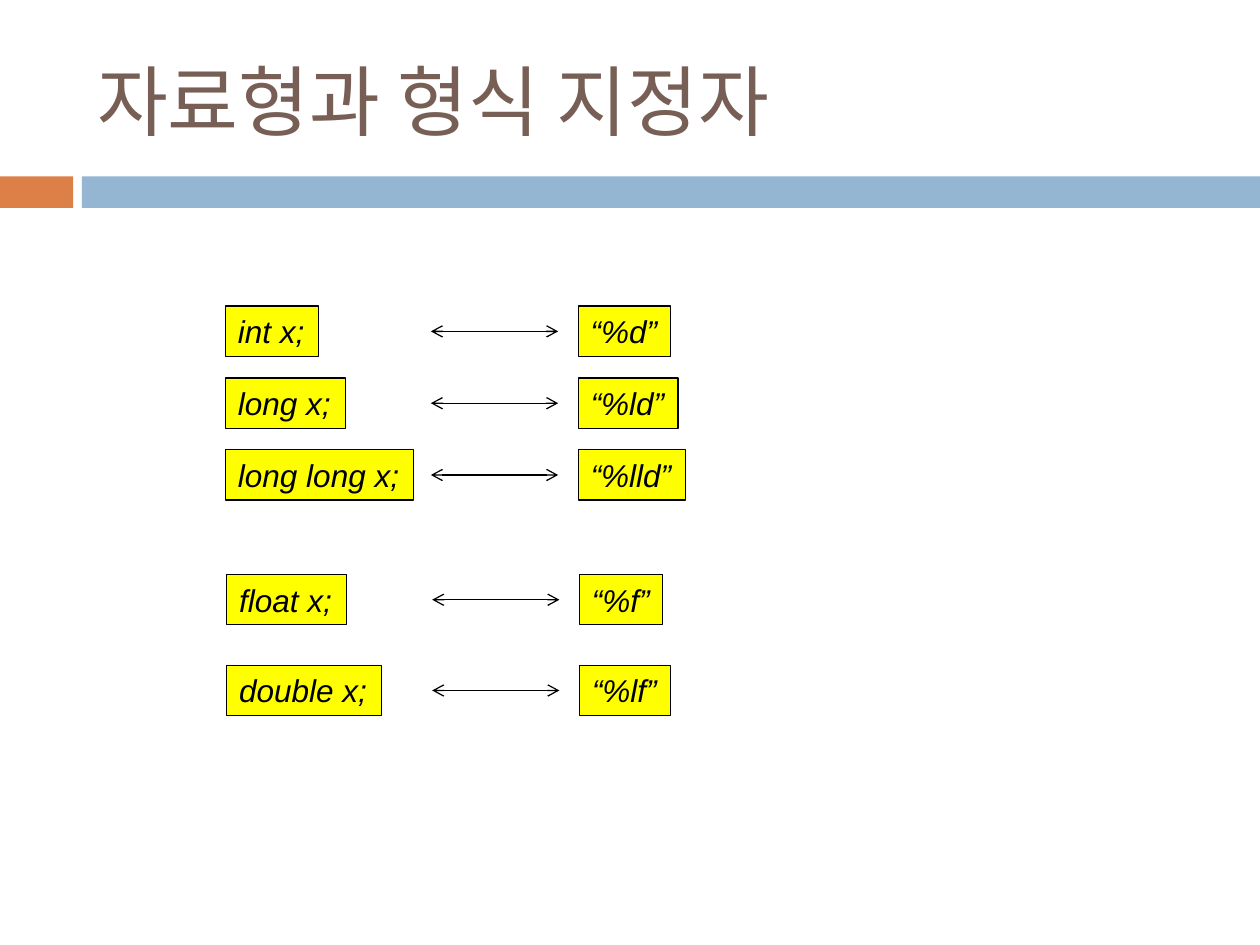
"""Build a slide that pairs C data types with their format specifiers."""
from lxml import etree
from pptx import Presentation
from pptx.dml.color import RGBColor
from pptx.enum.shapes import MSO_CONNECTOR, MSO_SHAPE
from pptx.enum.text import MSO_ANCHOR, MSO_AUTO_SIZE, PP_ALIGN
from pptx.oxml.ns import qn
from pptx.util import Inches, Pt

RECT, STRAIGHT = MSO_SHAPE.RECTANGLE, MSO_CONNECTOR.STRAIGHT
LEFT, MIDDLE = PP_ALIGN.LEFT, MSO_ANCHOR.MIDDLE
FIT, NO_FIT = MSO_AUTO_SIZE.SHAPE_TO_FIT_TEXT, MSO_AUTO_SIZE.NONE

TITLE = "자료형과 형식 지정자"
BANDS = [(0, 0.58, "DD8047"), (0.65, 9.35, "94B6D2")]
GROUPS = [
    {"left": 1.79, "top": 2.43, "pitch": 0.57, "pairs": [
        ("int x;", 0.74, "“%d”", 0.73),
        ("long x;", 0.95, "“%ld”", 0.79),
        ("long long x;", 1.49, "“%lld”", 0.85)]},
    {"left": 1.8, "top": 4.56, "pitch": 0.72, "pairs": [
        ("float x;", 0.95, "“%f”", 0.66),
        ("double x;", 1.23, "“%lf”", 0.72)]},
]
BOX_HEIGHT = 0.4
ARROW_OFFSET, ARROW_LENGTH, SPECIFIER_OFFSET = 1.63, 1.01, 2.8


def color(value):
    return RGBColor.from_string(value)


def add_text(frame, text, font, size, ink, italic=None):
    paragraph = frame.paragraphs[0]
    paragraph.alignment = LEFT
    run = paragraph.add_run()
    run.text = text
    run.font.name, run.font.size, run.font.italic = font, Pt(size), italic
    run.font.color.rgb = color(ink)


def add_rect(slide, left, top, width, height, fill):
    rect = slide.shapes.add_shape(
        RECT, Inches(left), Inches(top), Inches(width), Inches(height))
    rect.shadow.inherit = False
    rect.fill.solid()
    rect.fill.fore_color.rgb = color(fill)
    rect.line.fill.background()
    return rect


def add_code(slide, text, left, top, width):
    box = add_rect(slide, left, top, width, BOX_HEIGHT, "FFFF00")
    box.line.color.rgb = color("000000")
    box.line.width = Pt(0.75)
    frame = box.text_frame
    frame.word_wrap, frame.auto_size = False, FIT
    frame.vertical_anchor = MSO_ANCHOR.TOP
    add_text(frame, text, "Arial", 18, "000000", True)


def add_double_arrow(slide, left, y):
    arrow = slide.shapes.add_connector(
        STRAIGHT, Inches(left), Inches(y), Inches(left + ARROW_LENGTH), Inches(y))
    arrow.line.color.rgb = color("000000")
    arrow.line.width = Pt(0.75)
    outline = arrow.line._get_or_add_ln()
    for end in ("a:headEnd", "a:tailEnd"):
        etree.SubElement(outline, qn(end), type="arrow")
    etree.SubElement(arrow._element.spPr, qn("a:effectLst"))


def main():
    deck = Presentation()
    deck.slide_width, deck.slide_height = Inches(10), Inches(7.5)
    slide = deck.slides.add_slide(deck.slide_layouts[5])

    for left, width, fill in BANDS:
        add_rect(slide, left, 1.4, width, 0.25, fill)

    title = slide.shapes.title
    title.left, title.top = Inches(0.67), Inches(0.25)
    title.width, title.height = Inches(8.92), Inches(1.08)
    title.text_frame.auto_size = NO_FIT
    title.text_frame.vertical_anchor = MIDDLE
    add_text(title.text_frame, TITLE, "Cabin", 44, "775F55")

    for group in GROUPS:
        left = group["left"]
        for row, (declaration, wide, specifier, narrow) in enumerate(group["pairs"]):
            top = group["top"] + row * group["pitch"]
            add_code(slide, declaration, left, top, wide)
            add_double_arrow(slide, left + ARROW_OFFSET, top + BOX_HEIGHT / 2)
            add_code(slide, specifier, left + SPECIFIER_OFFSET, top, narrow)

    deck.save("out.pptx")


if __name__ == "__main__":
    main()
